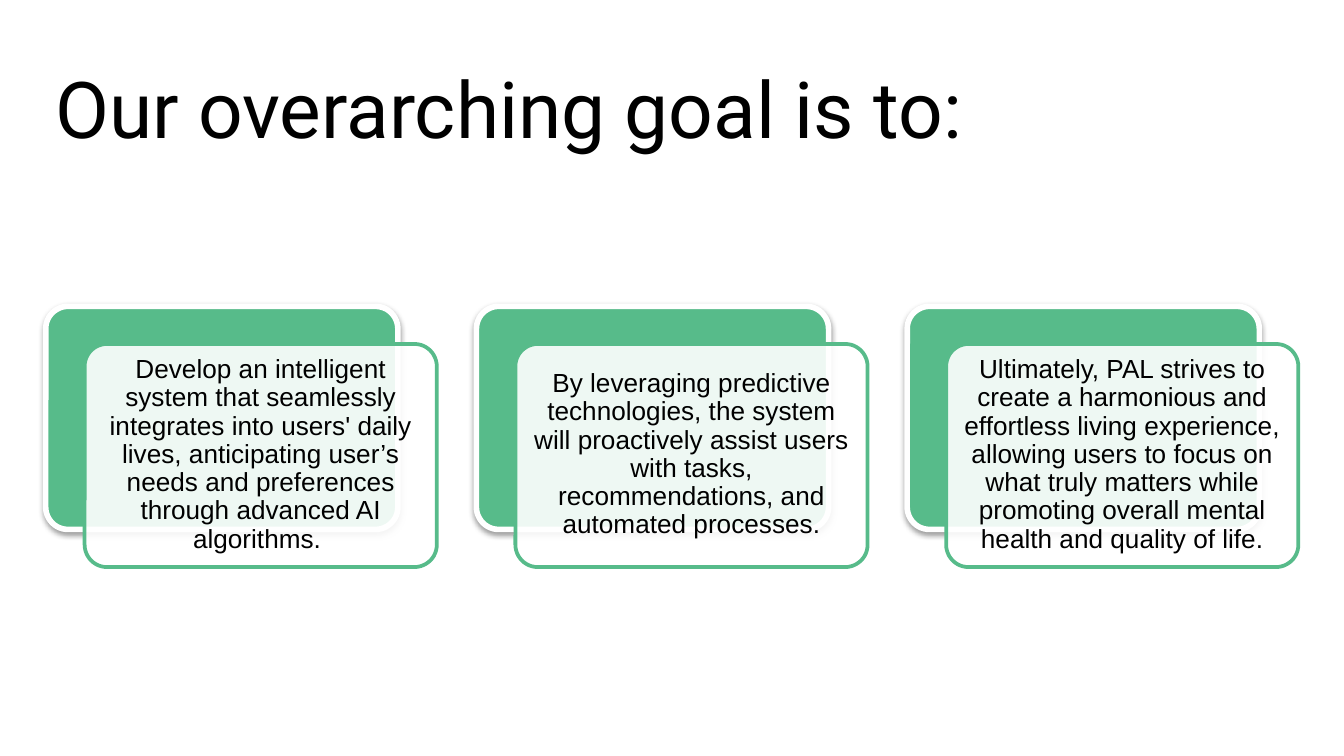
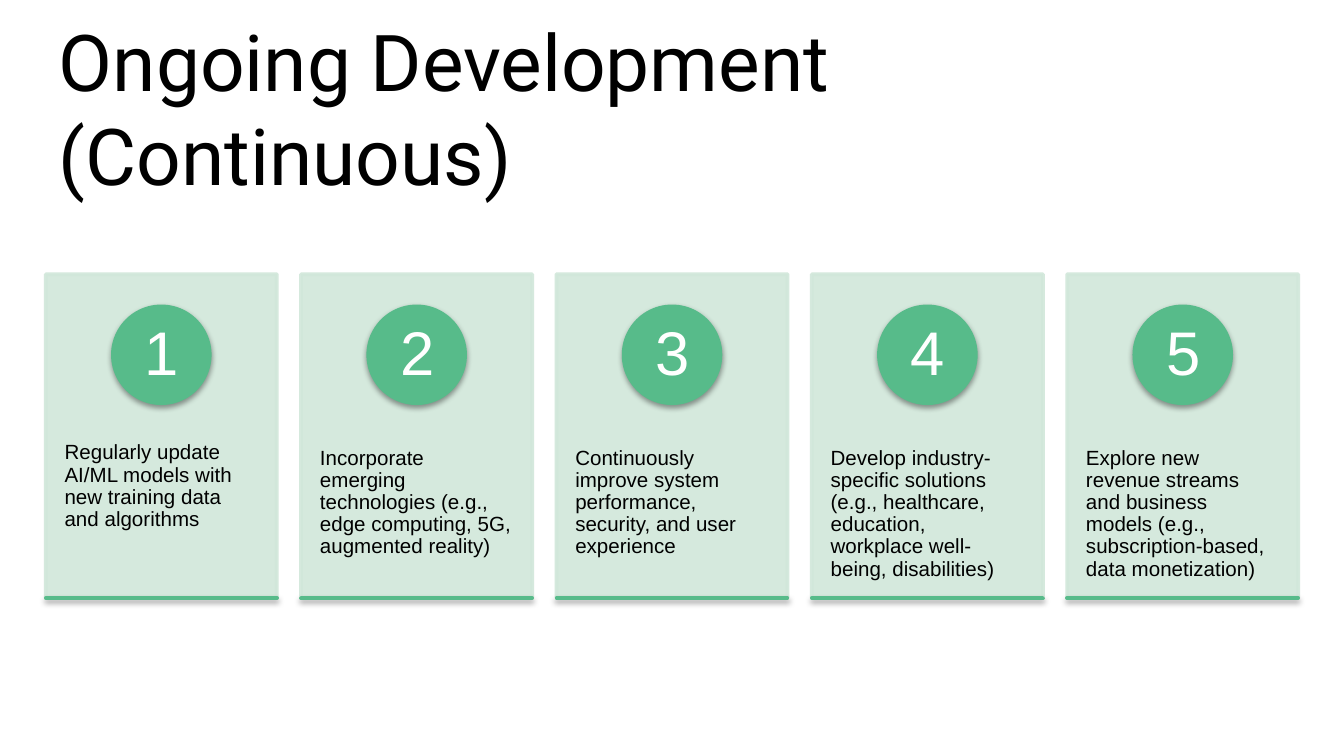
from dataclasses import dataclass

from lxml.etree import SubElement
from pptx import Presentation
from pptx.dml.color import RGBColor
from pptx.enum.shapes import MSO_SHAPE
from pptx.enum.text import MSO_ANCHOR, PP_ALIGN
from pptx.oxml.ns import qn
from pptx.util import Inches, Pt


@dataclass(frozen=True)
class Theme:
    green: str = "57BB8A"
    mint: str = "D1E7DA"
    white: str = "FFFFFF"
    black: str = "000000"
    title_font: str = "Roboto"
    body_font: str = "Arial"
    title_size: int = 42
    goal_size: int = 14
    step_size: int = 11
    number_size: int = 33
    margin: float = 0.34
    content_width: float = 9.32


GOALS = [
    "Develop an intelligent system that seamlessly integrates into users' daily lives, "
    "anticipating user’s needs and preferences through advanced AI algorithms. ",
    "By leveraging predictive technologies, the system will proactively assist users "
    "with tasks, recommendations, and automated processes.",
    "Ultimately, PAL strives to create a harmonious and effortless living experience, "
    "allowing users to focus on what truly matters while promoting overall mental "
    "health and quality of life.",
]

STEPS = [
    "Regularly update AI/ML models with new training data and algorithms",
    "Incorporate emerging technologies (e.g., edge computing, 5G, augmented reality)",
    "Continuously improve system performance, security, and user experience",
    "Develop industry-specific solutions (e.g., healthcare, education, workplace "
    "well-being, disabilities)",
    "Explore new revenue streams and business models (e.g., subscription-based, "
    "data monetization)",
]


class SlideBuilder:
    def __init__(self, deck, theme):
        self.deck = deck
        self.theme = theme
        self.page = None

    def new_page(self, title, inset_x, inset_y):
        self.page = self.deck.slides.add_slide(self.deck.slide_layouts[6])
        theme = self.theme
        self.text(title, (theme.margin, 0.34, theme.content_width, 0.91),
                  theme.title_size, (inset_x, inset_y),
                  font=theme.title_font, spacing=1.0)

    def text(self, words, area, size, insets, font=None, color=None,
             align=PP_ALIGN.LEFT, anchor=MSO_ANCHOR.MIDDLE, spacing=0.9, after=0):
        box = self.page.shapes.add_textbox(*map(Inches, area))
        frame = box.text_frame
        frame.word_wrap = True
        frame.vertical_anchor = anchor
        frame.margin_left = frame.margin_right = Inches(insets[0])
        frame.margin_top = frame.margin_bottom = Inches(insets[1])
        para = frame.paragraphs[0]
        para.alignment = align
        para.line_spacing = spacing
        para.space_after = Pt(after)
        span = para.add_run()
        span.text = words
        span.font.name = font or self.theme.body_font
        span.font.size = Pt(size)
        span.font.color.rgb = RGBColor.from_string(color or self.theme.black)

    def shape(self, kind, area, fill, line, width=2, shadow=False):
        shape = self.page.shapes.add_shape(kind, *map(Inches, area))
        shape.fill.solid()
        shape.fill.fore_color.rgb = RGBColor.from_string(fill)
        shape.line.color.rgb = RGBColor.from_string(line)
        shape.line.width = Pt(width)
        shape.shadow.inherit = False
        if kind == MSO_SHAPE.ROUNDED_RECTANGLE:
            shape.adjustments[0] = 0.1
        if shadow:
            self.cast_shadow(shape)
        return shape

    def cast_shadow(self, shape):
        effects = shape.element.spPr.find(qn("a:effectLst"))
        outer = SubElement(effects, qn("a:outerShdw"), blurRad=str(Pt(3.1)),
                           dist=str(Pt(1.6)), dir="5400000", rotWithShape="0")
        tint = SubElement(outer, qn("a:srgbClr"), val=self.theme.black)
        SubElement(tint, qn("a:alpha"), val="38000")

    def fade(self, shape, color):
        for tint in shape.element.spPr.iter(qn("a:srgbClr")):
            if tint.get("val") == color:
                SubElement(tint, qn("a:alpha"), val="90000")

    def goal_card(self, left, words):
        theme = self.theme
        rounded = MSO_SHAPE.ROUNDED_RECTANGLE
        self.shape(rounded, (left, 2.28, 2.62, 1.66), theme.green, theme.white,
                   width=3, shadow=True)
        front = self.shape(rounded, (left + 0.29, 2.56, 2.62, 1.66),
                           theme.white, theme.green)
        self.fade(front, theme.white)
        self.text(words, (left + 0.34, 2.6, 2.52, 1.57), theme.goal_size,
                  (0.06, 0.06), align=PP_ALIGN.CENTER)

    def step_card(self, left, width, number, words):
        theme = self.theme
        panel = self.shape(MSO_SHAPE.RECTANGLE, (left, 2.04, width, 2.41),
                           theme.mint, theme.mint)
        self.fade(panel, theme.mint)
        self.text(words, (left, 2.96, width, 1.45), theme.step_size,
                  (0.14, 0.37), anchor=MSO_ANCHOR.TOP, after=4)
        center = left + width / 2
        self.shape(MSO_SHAPE.OVAL, (center - 0.36, 2.28, 0.72, 0.72),
                   theme.green, theme.green, shadow=True)
        self.text(str(number), (center - 0.25, 2.39, 0.51, 0.51),
                  theme.number_size, (0.06, 0.01), color=theme.white,
                  align=PP_ALIGN.CENTER)
        self.shape(MSO_SHAPE.RECTANGLE, (left, 4.45, width, 0),
                   theme.green, theme.green, shadow=True)

    def columns(self, count, width):
        step = (self.theme.content_width - width) / (count - 1)
        return [self.theme.margin + index * step for index in range(count)]


def main():
    deck = Presentation()
    deck.slide_width = Inches(10)
    deck.slide_height = deck.slide_width * 9 // 16
    builder = SlideBuilder(deck, Theme())

    builder.new_page("Our overarching goal is to:", 0.07, 0.04)
    for left, goal in zip(builder.columns(len(GOALS), 2.91), GOALS):
        builder.goal_card(left, goal)

    builder.new_page("Ongoing Development (Continuous)", 0.1, 0.1)
    step_width = 1.72
    lefts = builder.columns(len(STEPS), step_width)
    for number, (left, step) in enumerate(zip(lefts, STEPS), 1):
        builder.step_card(left, step_width, number, step)

    deck.save("out.pptx")


if __name__ == "__main__":
    main()
